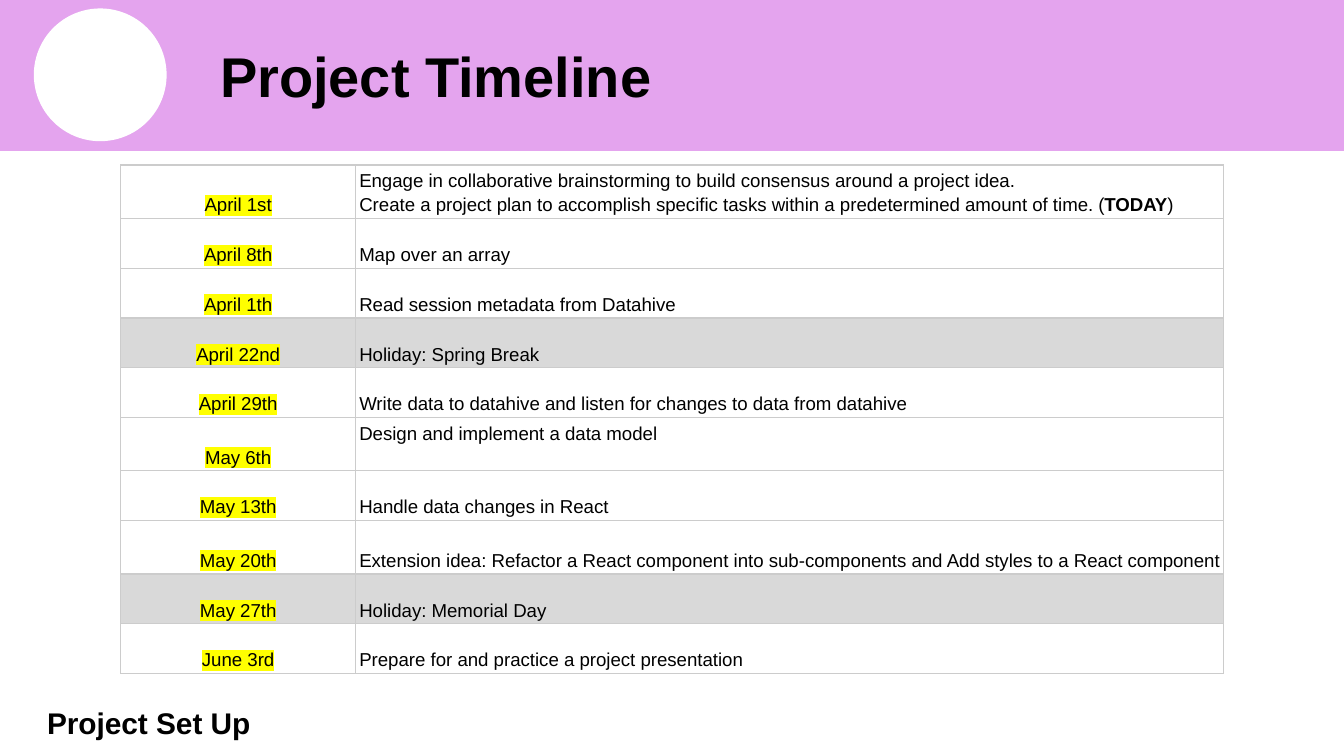
"""Build the project timeline slide with its dated table."""
from lxml import etree
from pptx import Presentation
from pptx.dml.color import RGBColor
from pptx.enum.shapes import MSO_SHAPE as SHAPE
from pptx.enum.text import MSO_ANCHOR as ANCHOR, MSO_AUTO_SIZE as AUTO, PP_ALIGN as ALIGN
from pptx.oxml import parse_xml
from pptx.oxml.ns import nsdecls, qn
from pptx.util import Cm, Pt

ORCHID = RGBColor(0xE4, 0xA4, 0xEE)
WHITE = RGBColor(0xFF, 0xFF, 0xFF)
BLACK = RGBColor(0, 0, 0)
GREY = RGBColor(0xD9, 0xD9, 0xD9)
BORDER = RGBColor(0xCC, 0xCC, 0xCC)
YELLOW = RGBColor(0xFF, 0xFF, 0x00)

ROWS = [
    ("April 1st", ["Engage in collaborative brainstorming to build consensus around a project idea.",
                   "Create a project plan to accomplish specific tasks within a predetermined "
                   "amount of time. (*TODAY*)"]),
    ("April 8th", ["Map over an array"]),
    ("April 1th", ["Read session metadata from Datahive"]),
    ("April 22nd", ["Holiday: Spring Break"]),
    ("April 29th", ["Write data to datahive and listen for changes to data from datahive"]),
    ("May 6th", ["Design and implement a data model"]),
    ("May 13th", ["Handle data changes in React"]),
    ("May 20th", ["Extension idea: Refactor a React component into sub-components and "
                  "Add styles to a React component"]),
    ("May 27th", ["Holiday: Memorial Day"]),
    ("June 3rd", ["Prepare for and practice a project presentation"]),
]
TALL = ("April 1st", "May 6th", "May 20th")


def style_run(r, size, bold=False):
    r.font.name = "Arial"
    r.font.size = Pt(size)
    r.font.bold = bold
    r.font.color.rgb = BLACK


def set_heading(sp, text, size):
    tf = sp.text_frame
    tf.text = text
    tf.word_wrap = True
    tf.auto_size = AUTO.NONE
    tf.vertical_anchor = ANCHOR.MIDDLE
    tf.margin_left = tf.margin_right = tf.margin_top = tf.margin_bottom = Cm(0.25)
    tf.paragraphs[0].alignment = ALIGN.LEFT
    style_run(tf.paragraphs[0].runs[0], size, True)


prs = Presentation()
prs.slide_width, prs.slide_height = Cm(25.4), Cm(14.29)
s = prs.slides.add_slide(prs.slide_layouts[5])

for kind, box, color in [
    (SHAPE.RECTANGLE, (0, -0.02, 25.4, 2.87), ORCHID),
    (SHAPE.OVAL, (0.64, 0.16, 2.51, 2.51), WHITE),
]:
    sp = s.shapes.add_shape(kind, *[Cm(v) for v in box])
    sp.shadow.inherit = False
    sp.fill.solid()
    sp.fill.fore_color.rgb = color
    sp.line.color.rgb = color
    sp.line.width = Pt(0.75)
sp.line.fill.background()

footer = s.shapes.add_textbox(Cm(0.64), Cm(13.34), Cm(7.62), Cm(0.64))
set_heading(footer, "Project Set Up", 16)

title = s.shapes.title
title.element.getparent().append(title.element)
title.left, title.top, title.width, title.height = Cm(3.91), Cm(0.16), Cm(20.83), Cm(2.51)
set_heading(title, "Project Timeline", 30)

frame = s.shapes.add_table(len(ROWS), 2, Cm(2.28), Cm(3.12), Cm(20.84), Cm(9.59))
table = frame.table
table.first_row = table.horz_banding = False
table.columns[0].width, table.columns[1].width = Cm(4.44), Cm(16.4)

for i, (date, tasks) in enumerate(ROWS):
    table.rows[i].height = Cm(1.01 if date in TALL else 0.94)
    for j, lines in enumerate([[date], tasks]):
        cell = table.cell(i, j)
        cell.margin_left = cell.margin_right = Cm(0.07)
        cell.margin_top = cell.margin_bottom = Cm(0.05)
        cell.vertical_anchor = ANCHOR.TOP if j and date == "May 6th" else ANCHOR.BOTTOM
        if tasks[0].startswith("Holiday"):
            cell.fill.solid()
            cell.fill.fore_color.rgb = GREY
        else:
            cell.fill.background()
        tcPr = cell._tc.get_or_add_tcPr()
        for k, side in enumerate(["lnL", "lnR", "lnT", "lnB"]):
            tcPr.insert(k, parse_xml(
                f'<a:{side} {nsdecls("a")} w="{Pt(0.75)}"><a:solidFill>'
                f'<a:srgbClr val="{BORDER}"/></a:solidFill></a:{side}>'))

        tf = cell.text_frame
        for n, line in enumerate(lines):
            p = tf.add_paragraph() if n else tf.paragraphs[0]
            p.alignment = ALIGN.LEFT if j else ALIGN.CENTER
            p.line_spacing = 1.15
            for part, text in enumerate(line.split("*")):
                r = p.add_run()
                r.text = text
                style_run(r, 10, part == 1)
        if j == 0:
            highlight = etree.Element(qn("a:highlight"))
            etree.SubElement(highlight, qn("a:srgbClr"), val=str(YELLOW))
            r._r.rPr.find(qn("a:solidFill")).addnext(highlight)

prs.save("out.pptx")
